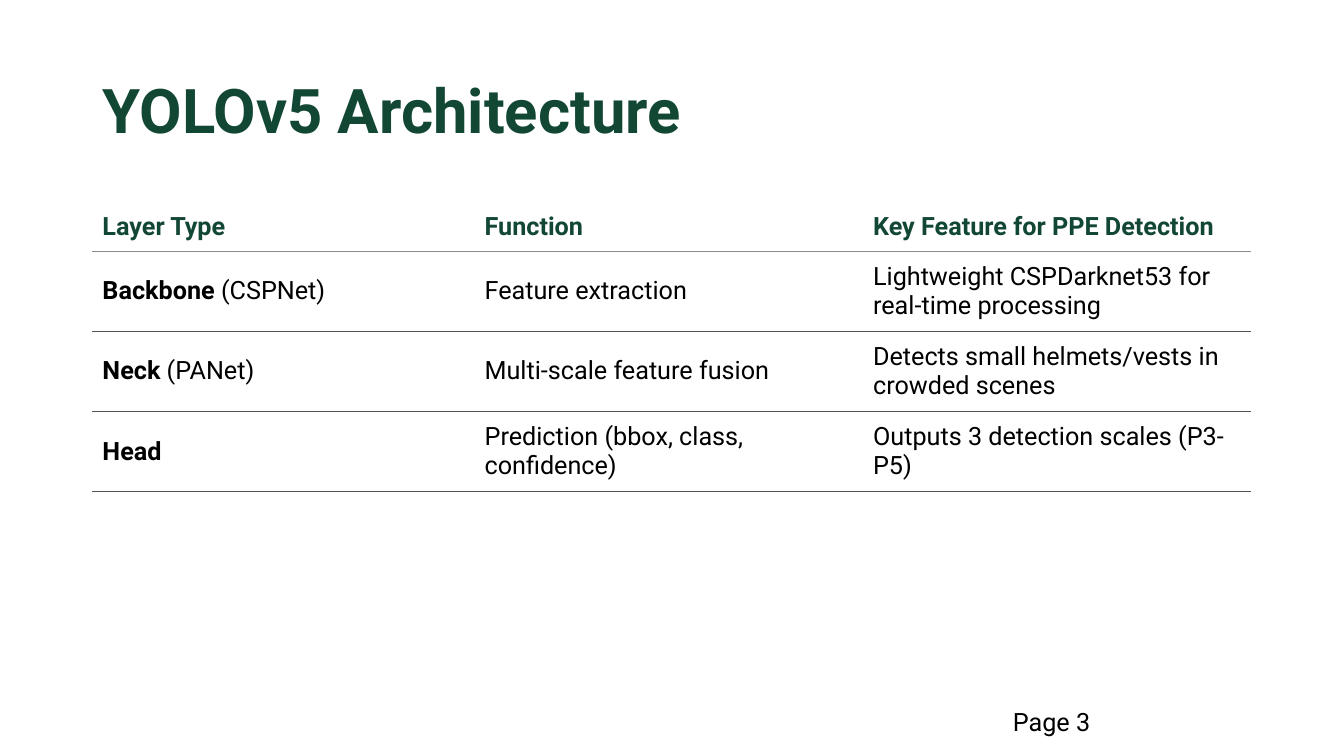
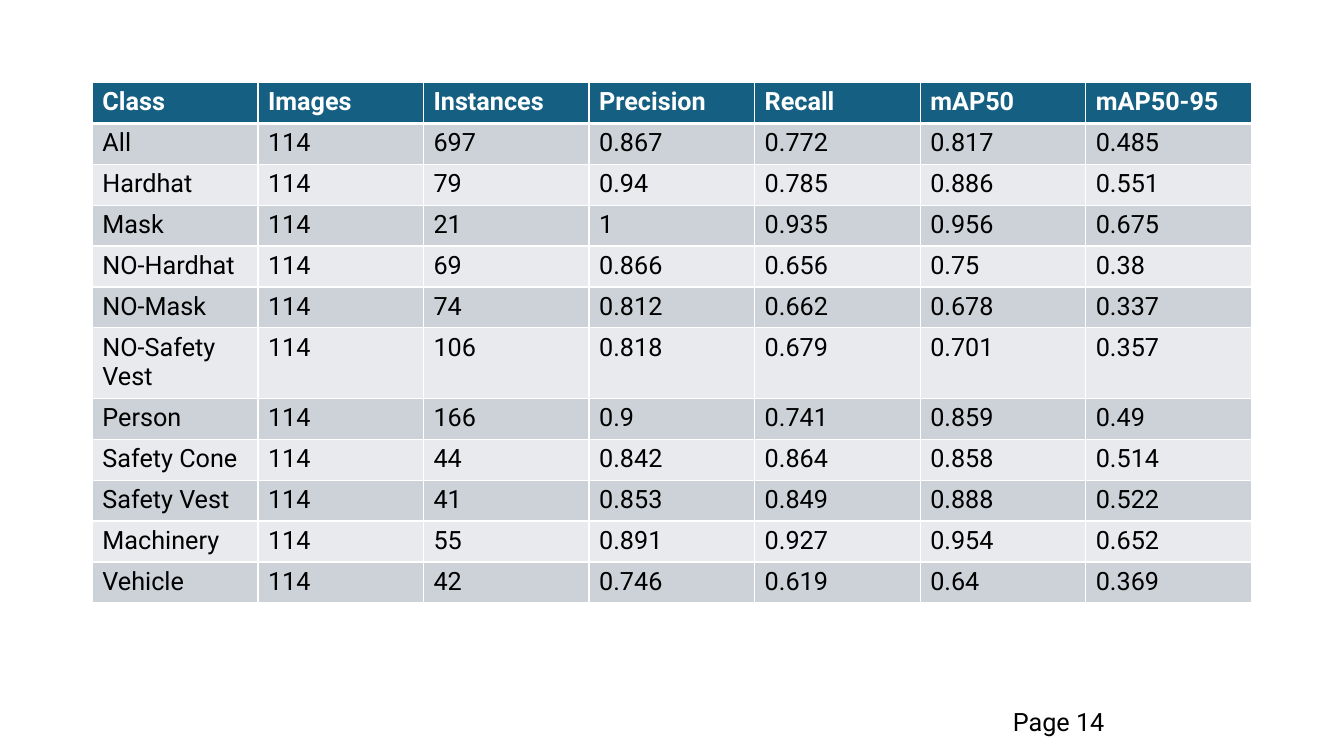
"""Build two slides: the YOLOv5 architecture table and the per-class detection results."""
from lxml.etree import SubElement
from pptx import Presentation
from pptx.dml.color import RGBColor
from pptx.enum.text import MSO_ANCHOR, MSO_AUTO_SIZE, PP_ALIGN
from pptx.oxml.ns import qn
from pptx.util import Pt

FONT = "Roboto"
COLORS = {
    "green": "124734", "black": "000000", "white": "FFFFFF", "blue": "156082",
    "band_dark": "CCD2D8", "band_light": "E8EAED", "rule": "525252", "header_rule": "8B8B8B",
}
LEFT, WIDTH = 66, 828

TITLE = "YOLOv5 Architecture"
LAYERS = [
    ["Layer Type", "Function", "Key Feature for PPE Detection"],
    [("Backbone", " (CSPNet)"), "Feature extraction",
     "Lightweight CSPDarknet53 for real-time processing"],
    [("Neck", " (PANet)"), "Multi-scale feature fusion",
     "Detects small helmets/vests in crowded scenes"],
    [("Head",), "Prediction (bbox, class, confidence)", "Outputs 3 detection scales (P3-P5)"],
]
RESULTS = [
    ["Class", "Images", "Instances", "Precision", "Recall", "mAP50", "mAP50-95"],
    ["All", "114", "697", "0.867", "0.772", "0.817", "0.485"],
    ["Hardhat", "114", "79", "0.94", "0.785", "0.886", "0.551"],
    ["Mask", "114", "21", "1", "0.935", "0.956", "0.675"],
    ["NO-Hardhat", "114", "69", "0.866", "0.656", "0.75", "0.38"],
    ["NO-Mask", "114", "74", "0.812", "0.662", "0.678", "0.337"],
    ["NO-Safety Vest", "114", "106", "0.818", "0.679", "0.701", "0.357"],
    ["Person", "114", "166", "0.9", "0.741", "0.859", "0.49"],
    ["Safety Cone", "114", "44", "0.842", "0.864", "0.858", "0.514"],
    ["Safety Vest", "114", "41", "0.853", "0.849", "0.888", "0.522"],
    ["Machinery", "114", "55", "0.891", "0.927", "0.954", "0.652"],
    ["Vehicle", "114", "42", "0.746", "0.619", "0.64", "0.369"],
]


def style(span, color="black", size=18, bold=False):
    span.font.name = FONT
    span.font.size = Pt(size)
    span.font.bold = bold
    span.font.color.rgb = RGBColor.from_string(COLORS[color])


def set_borders(cell, borders):
    properties = cell._tc.get_or_add_tcPr()
    for side in "LRTB":
        line = SubElement(properties, qn(f"a:ln{side}"))
        if side in borders:
            color, width = borders[side]
            line.set("w", str(Pt(width)))
            fill = SubElement(line, qn("a:solidFill"))
            SubElement(fill, qn("a:srgbClr")).set("val", COLORS[color])
        else:
            line.set("w", "0")
            SubElement(line, qn("a:noFill"))


def fill_cell(cell, content, color, header, fill, borders):
    spans = (content,) if isinstance(content, str) else content
    para = cell.text_frame.paragraphs[0]
    for index, text in enumerate(spans):
        span = para.add_run()
        span.text = text
        lead = not isinstance(content, str) and index == 0
        style(span, color, bold=header or lead)
    set_borders(cell, borders)
    cell.fill.solid()
    cell.fill.fore_color.rgb = RGBColor.from_string(COLORS[fill])


def add_grid(page, rows, top, widths, heights, header_color, fill_of, borders_of):
    frame = page.shapes.add_table(len(rows), len(widths), Pt(LEFT), Pt(top),
                                  Pt(WIDTH), Pt(sum(heights)))
    table = frame.table
    for column, width in zip(table.columns, widths):
        column.width = Pt(width)
    for number, (row, height) in enumerate(zip(rows, heights)):
        table.rows[number].height = Pt(height)
        color = header_color if number == 0 else "black"
        for position, content in enumerate(row):
            fill_cell(table.cell(number, position), content, color, number == 0,
                      fill_of(number), borders_of(number))
    return table


def add_title(page, text):
    title = page.shapes.title
    title.left, title.top, title.width, title.height = Pt(LEFT), Pt(28.8), Pt(WIDTH), Pt(104.4)
    frame = title.text_frame
    frame.text = text
    frame.auto_size = MSO_AUTO_SIZE.NONE
    frame.vertical_anchor = MSO_ANCHOR.MIDDLE
    para = frame.paragraphs[0]
    para.alignment = PP_ALIGN.LEFT
    para.line_spacing = 0.9
    style(para.runs[0], "green", 44, True)


def add_page_label(page, number):
    box = page.shapes.add_textbox(Pt(716.4), Pt(501), Pt(207.4), Pt(29))
    box.text_frame.word_wrap = True
    box.text_frame.text = f"Page {number}"
    style(box.text_frame.paragraphs[0].runs[0])


def layer_borders(number):
    below = ("header_rule" if number == 0 else "rule", 0.5)
    if number == 0:
        return {"B": below}
    return {"T": ("header_rule" if number == 1 else "rule", 0.5), "B": below}


def result_borders(number):
    borders = {side: ("white", 1) for side in "LRTB"}
    if number < 2:
        borders["B" if number == 0 else "T"] = ("white", 3)
    return borders


def build_architecture(deck):
    page = deck.slides.add_slide(deck.slide_layouts[5])
    add_title(page, TITLE)
    heights = [35.5] + [57.2] * (len(LAYERS) - 1)
    table = add_grid(page, LAYERS, 144, [273, 277.5, 277.5], heights, "green",
                     lambda number: "white", layer_borders)
    for cell in table.iter_cells():
        cell.vertical_anchor = MSO_ANCHOR.MIDDLE
        cell.margin_top = cell.margin_bottom = Pt(7.2)
    add_page_label(page, 3)


def build_results(deck):
    page = deck.slides.add_slide(deck.slide_layouts[6])
    fills = ["band_light", "band_dark"]
    columns = len(RESULTS[0])
    heights = [49.4 if row[0] == "NO-Safety Vest" else 29.2 for row in RESULTS]
    add_grid(page, RESULTS, 59, [WIDTH / columns] * columns, heights, "white",
             lambda number: fills[number % 2] if number else "blue", result_borders)
    add_page_label(page, 14)


def main():
    deck = Presentation()
    deck.slide_width, deck.slide_height = Pt(960), Pt(540)
    build_architecture(deck)
    build_results(deck)
    deck.save("out.pptx")


if __name__ == "__main__":
    main()
